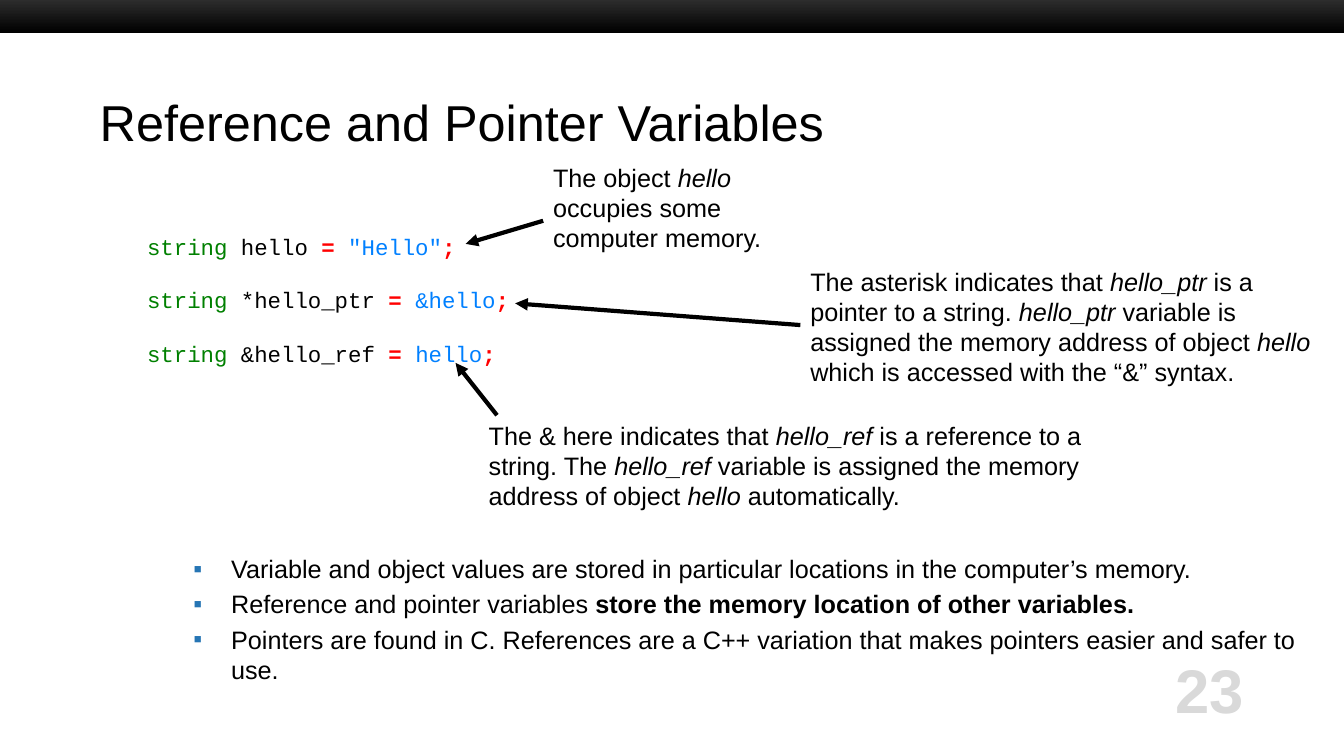
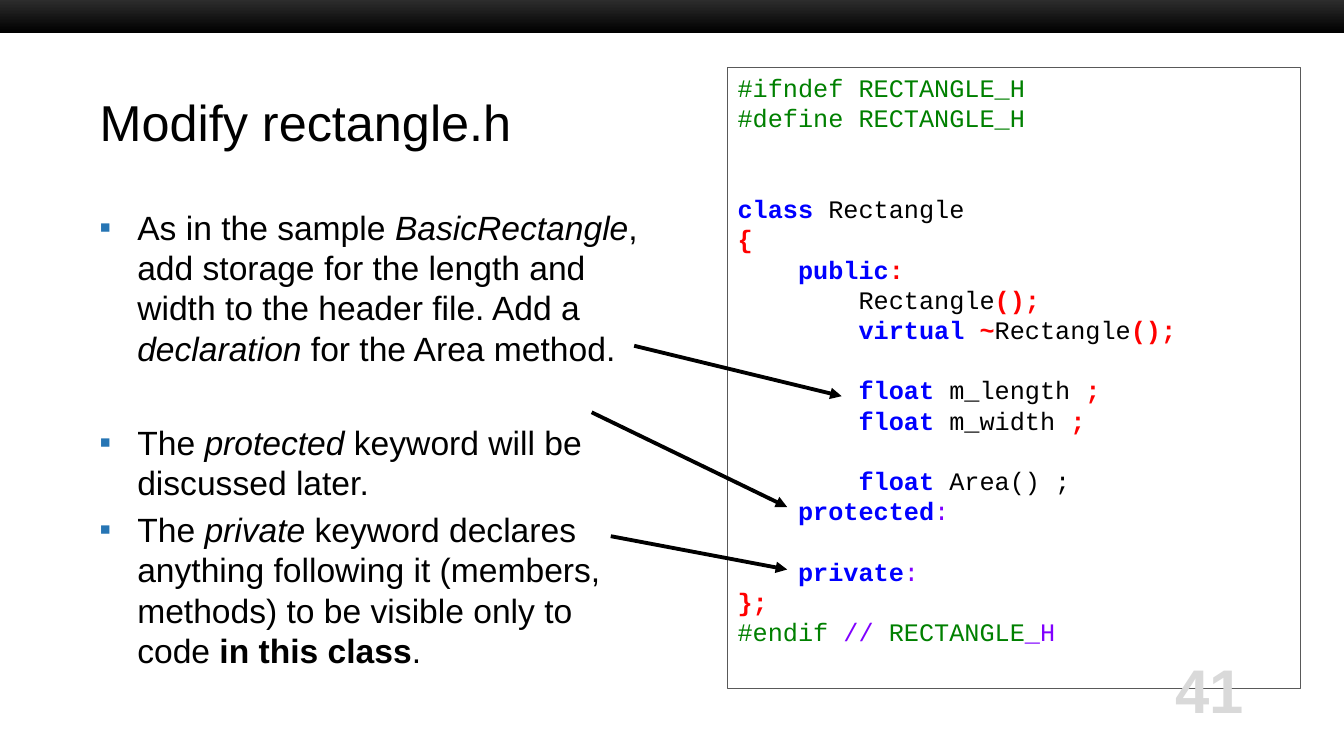
from dataclasses import dataclass

from lxml import etree
from pptx import Presentation
from pptx.dml.color import RGBColor
from pptx.enum.shapes import MSO_CONNECTOR, MSO_SHAPE
from pptx.enum.text import MSO_ANCHOR, MSO_AUTO_SIZE, PP_ALIGN
from pptx.oxml.ns import qn
from pptx.util import Pt

STRAIGHT = MSO_CONNECTOR.STRAIGHT
RECTANGLE = MSO_SHAPE.RECTANGLE
TOP, MIDDLE = MSO_ANCHOR.TOP, MSO_ANCHOR.MIDDLE
LEFT, RIGHT = PP_ALIGN.LEFT, PP_ALIGN.RIGHT
NO_AUTOFIT = MSO_AUTO_SIZE.NONE
LEFT_SIDE = 1
TITLE_ONLY = 5


@dataclass(frozen=True)
class Theme:
    width: float = 960
    height: float = 540
    text_font: str = "Arial"
    code_font: str = "Courier New"
    title_size: float = 36
    large_size: float = 24
    text_size: float = 18
    code_size: float = 16
    number_size: float = 44
    leading: float = 1.2
    paragraph_gap: float = 0.2
    bullet_indent: float = 27
    black: str = "000000"
    band_top: str = "333333"
    bullet: str = "2675B4"
    number: str = "D9D9D9"
    outline: str = "595959"
    green: str = "008000"
    red: str = "FF0000"
    blue: str = "0000FF"
    sky: str = "0080FF"
    purple: str = "8000FF"


THEME = Theme()

STYLES = {
    "plain": {},
    "italic": {"italic": True},
    "bold": {"bold": True},
    "type": {"color": THEME.green},
    "operator": {"color": THEME.red, "bold": True},
    "literal": {"color": THEME.sky},
    "keyword": {"color": THEME.blue, "bold": True},
    "mark": {"color": THEME.purple},
}


def rgb(value):
    return RGBColor.from_string(value)


def add_span(para, text, *, font, size, color=THEME.black, bold=False, italic=False):
    span = para.add_run()
    span.text = text
    span.font.name = font
    span.font.size = Pt(size)
    span.font.bold = bold
    span.font.italic = italic
    span.font.color.rgb = rgb(color)


def add_bullet(para):
    props = para._p.get_or_add_pPr()
    props.set("marL", str(Pt(THEME.bullet_indent)))
    props.set("indent", str(-Pt(THEME.bullet_indent)))
    color = etree.SubElement(props, qn("a:buClr"))
    etree.SubElement(color, qn("a:srgbClr"), val=THEME.bullet)
    etree.SubElement(props, qn("a:buFont"), typeface=THEME.text_font)
    etree.SubElement(props, qn("a:buChar"), char="▪")


def write_text(box, lines, *, font=THEME.text_font, size=THEME.text_size, color=THEME.black,
               bold=False, align=LEFT, anchor=TOP, bullets=False, margin=3.6):
    frame = box.text_frame
    frame.word_wrap = True
    frame.auto_size = NO_AUTOFIT
    frame.vertical_anchor = anchor
    frame.margin_left = frame.margin_right = Pt(7.2)
    frame.margin_top = frame.margin_bottom = Pt(margin)
    line_height = size * THEME.leading
    before = size * THEME.paragraph_gap if bullets else 0
    para, skipped = None, 0
    for line in lines:
        if not line:
            skipped += line_height + before
            continue
        first = para is None
        para = frame.paragraphs[0] if first else frame.add_paragraph()
        if bullets:
            add_bullet(para)
        para.alignment = align
        para.line_spacing = Pt(line_height)
        para.space_before = Pt(0 if first else before + skipped)
        skipped = 0
        for text, style in line:
            look = {"color": color, "bold": bold, **STYLES[style]}
            add_span(para, text, font=font, size=size, **look)


def add_text(page, place, lines, **look):
    box = page.shapes.add_textbox(*map(Pt, place))
    write_text(box, lines, **look)
    return box


def add_code_panel(page, place, lines):
    panel = page.shapes.add_shape(RECTANGLE, *map(Pt, place))
    panel.shadow.inherit = False
    panel.fill.background()
    panel.line.color.rgb = rgb(THEME.outline)
    panel.line.width = Pt(0.75)
    write_text(panel, lines, font=THEME.code_font)


def add_arrow(page, start, end, *, width, source=None):
    arrow = page.shapes.add_connector(STRAIGHT, *map(Pt, start + end))
    if source is not None:
        arrow.begin_connect(source, LEFT_SIDE)
    arrow.line.color.rgb = rgb(THEME.black)
    arrow.line.width = Pt(width)
    etree.SubElement(arrow.line._get_or_add_ln(), qn("a:tailEnd"), type="triangle")
    etree.SubElement(arrow._element.spPr, qn("a:effectLst"))


def add_band(page):
    band = page.shapes.add_shape(RECTANGLE, Pt(0), Pt(-3.6), Pt(THEME.width), Pt(27.4))
    band.shadow.inherit = False
    band.line.fill.background()
    band.fill.gradient()
    band.fill.gradient_angle = 270
    for stop, color in zip(band.fill.gradient_stops, (THEME.band_top, THEME.black)):
        stop.color.rgb = rgb(color)


def add_page(deck, title):
    page = deck.slides.add_slide(deck.slide_layouts[TITLE_ONLY])
    add_band(page)
    box = page.shapes.title
    box.left, box.top, box.width, box.height = map(Pt, (64, 59.8, 832, 54))
    write_text(box, [[(title, "plain")]], size=THEME.title_size, anchor=MIDDLE)
    return page


def add_page_number(page, number):
    add_text(page, (743.8, 465.1, 152, 54), [[(number, "plain")]], size=THEME.number_size,
             color=THEME.number, bold=True, align=RIGHT, anchor=MIDDLE, margin=0)


def declaration(name, value):
    return [("string", "type"), (f" {name} ", "plain"), ("=", "operator"), (" ", "plain"),
            (value, "literal"), (";", "operator")]


def member(name):
    return [("        ", "plain"), ("float", "keyword"), (f" {name} ", "plain"), (";", "operator")]


def build_variables_page(deck):
    page = add_page(deck, "Reference and Pointer Variables")
    add_text(page, (131, 391.7, 805.7, 145), [
        [("Variable and object values are stored in particular locations in the computer’s memory.", "plain")],
        [("Reference and pointer variables ", "plain"),
         ("store the memory location of other variables.", "bold")],
        [("Pointers are found in C. References are a C++ variation that makes pointers easier "
          "and safer to use.", "plain")],
    ], bullets=True)
    add_text(page, (98, 162.7, 422, 104.4), [
        declaration("hello", '"Hello"'),
        [],
        declaration("*hello_ptr", "&hello"),
        [],
        declaration("&hello_ref", "hello"),
    ], font=THEME.code_font, size=THEME.code_size)
    add_text(page, (388, 112.3, 202.3, 46), [[
        ("The object ", "plain"), ("hello ", "italic"), ("occupies some computer memory.", "plain"),
    ]])
    pointer_note = add_text(page, (571.7, 186.5, 378, 91.4), [[
        ("The asterisk indicates that ", "plain"), ("hello_ptr", "italic"),
        (" is a pointer to a string. ", "plain"), ("hello_ptr", "italic"),
        (" variable is assigned the memory address of object ", "plain"), ("hello", "italic"),
        (" which is accessed with the “&” syntax.", "plain"),
    ]])
    add_text(page, (342, 296.6, 458.6, 82.8), [[
        ("The & here indicates that ", "plain"), ("hello_ref ", "italic"),
        ("is a reference to a string. The ", "plain"), ("hello_ref ", "italic"),
        ("variable is assigned the memory address of object ", "plain"), ("hello ", "italic"),
        ("automatically.", "plain"),
    ]])
    add_arrow(page, (388, 157.7), (332.6, 174.2), width=3)
    add_arrow(page, (571.7, 232.2), (368, 216.7), width=3, source=pointer_note)
    add_arrow(page, (355, 296.6), (325.4, 259.2), width=3)
    add_page_number(page, "23")


def build_header_page(deck):
    page = add_page(deck, "Modify rectangle.h")
    add_text(page, (64, 144, 404, 340), [
        [("As in the sample ", "plain"), ("BasicRectangle", "italic"),
         (", add storage for the length and width to the header file. Add a ", "plain"),
         ("declaration", "italic"), (" for the Area method.", "plain")],
        [],
        [("The ", "plain"), ("protected", "italic"), (" keyword will be discussed later.", "plain")],
        [("The ", "plain"), ("private", "italic"),
         (" keyword declares anything following it (members, methods) to be visible only to code ", "plain"),
         ("in this class", "bold"), (".", "plain")],
    ], size=THEME.large_size, bullets=True)
    add_code_panel(page, (519.8, 48.2, 409, 443.5), [
        [("#ifndef RECTANGLE_H", "type")],
        [("#define RECTANGLE_H", "type")],
        [],
        [],
        [("class", "keyword"), (" Rectangle", "plain")],
        [("{", "operator")],
        [("    ", "plain"), ("public", "keyword"), (":", "operator")],
        [("        Rectangle", "plain"), ("();", "operator")],
        [("        virtual", "keyword"), (" ", "plain"), ("~", "operator"),
         ("Rectangle", "plain"), ("();", "operator")],
        [],
        member("m_length"),
        member("m_width"),
        [],
        [("        ", "plain"), ("float", "keyword"), (" Area() ;", "plain")],
        [("    ", "plain"), ("protected", "keyword"), (":", "mark")],
        [],
        [("    ", "plain"), ("private", "keyword"), (":", "mark")],
        [("};", "operator")],
        [("#endif ", "type"), ("// ", "mark"), ("RECTANGLE", "type"), ("_H", "mark")],
    ])
    for start, end in (
        ((453, 247), (601.2, 283)),
        ((422.6, 294.5), (562.3, 362.2)),
        ((436.3, 383), (562.3, 406.8)),
    ):
        add_arrow(page, start, end, width=2.75)
    add_page_number(page, "41")


def main():
    deck = Presentation()
    deck.slide_width, deck.slide_height = Pt(THEME.width), Pt(THEME.height)
    build_variables_page(deck)
    build_header_page(deck)
    deck.save("out.pptx")


if __name__ == "__main__":
    main()
